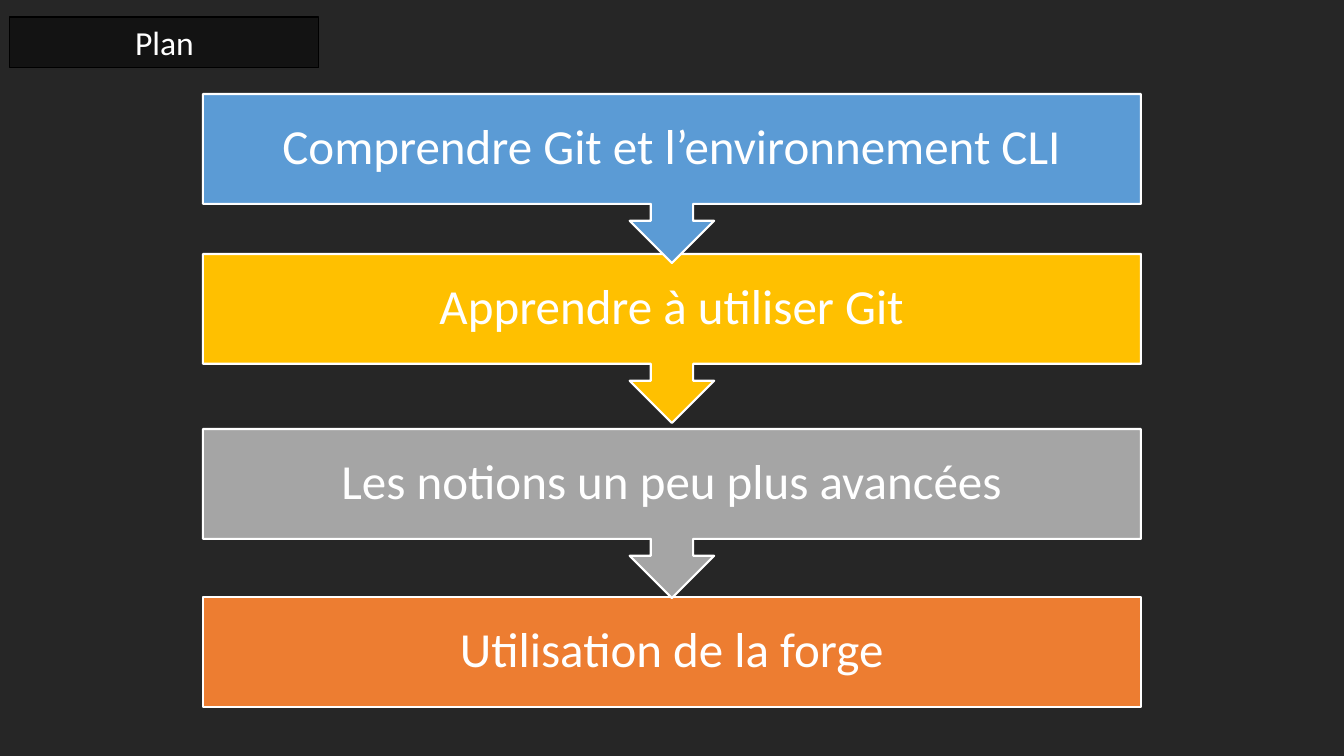
from pptx import Presentation
from pptx import util as u
from pptx.dml.color import RGBColor
from pptx.enum import shapes, text

PX = 914400 / 100.8
WHITE = RGBColor(0xFF, 0xFF, 0xFF)
BLACK = RGBColor(0, 0, 0)
DARK = RGBColor(0x26, 0x26, 0x26)
TAB = RGBColor(0x13, 0x13, 0x13)
BLUE = RGBColor(0x5B, 0x9B, 0xD5)
GOLD = RGBColor(0xFF, 0xC0, 0x00)
GREY = RGBColor(0xA5, 0xA5, 0xA5)
ORANGE = RGBColor(0xED, 0x7D, 0x31)

STEPS = [
    (94, "Comprendre Git et l’environnement CLI", BLUE),
    (254, "Apprendre à utiliser Git", GOLD),
    (429, "Les notions un peu plus avancées", GREY),
    (597, "Utilisation de la forge", ORANGE),
]
BAR, CALL = 110, 169


def px(n):
    """Turn pixels into EMU."""
    return u.Emu(round(n * PX))


def block(slide, kind, box, label, fill, line, width, size):
    """Draw one filled shape with a centred label."""
    shape = slide.shapes.add_shape(kind, *map(px, box))
    shape.shadow.inherit = False
    shape.fill.solid()
    shape.fill.fore_color.rgb = fill
    shape.line.color.rgb = line
    shape.line.width = u.Pt(width)
    frame = shape.text_frame
    frame.word_wrap = True
    frame.vertical_anchor = text.MSO_ANCHOR.MIDDLE
    frame.text = label
    para = frame.paragraphs[0]
    para.alignment = text.PP_ALIGN.CENTER
    font = para.runs[0].font
    font.name = "Calibri"
    font.size = u.Pt(size)
    font.color.rgb = WHITE
    return frame


def title(slide, box):
    """Draw the heading tab."""
    block(slide, shapes.MSO_SHAPE.RECTANGLE, box, "Plan", TAB, BLACK, 0.75, 24)


def flow(slide, left, width):
    """Stack the steps from the last up, each pointing to the next."""
    for top, label, fill in reversed(STEPS):
        last = top == STEPS[-1][0]
        kind = (shapes.MSO_SHAPE.RECTANGLE if last
                else shapes.MSO_SHAPE.DOWN_ARROW_CALLOUT)
        box = (left, top, width, BAR if last else CALL)
        frame = block(slide, kind, box, label, fill, WHITE, 1.5, 35)
        frame.margin_left = frame.margin_right = px(27)
        frame.margin_top = frame.margin_bottom = px(27)
        frame.paragraphs[0].line_spacing = 0.9


def main():
    """Build and save the plan slide."""
    prs = Presentation()
    prs.slide_width, prs.slide_height = px(1344), px(756)
    slide = prs.slides.add_slide(prs.slide_layouts[6])
    back = slide.background.fill
    back.solid()
    back.fore_color.rgb = DARK
    flow(slide, 203, 938)
    title(slide, (10, 17, 309, 51))
    prs.save("out.pptx")


if __name__ == "__main__":
    main()
